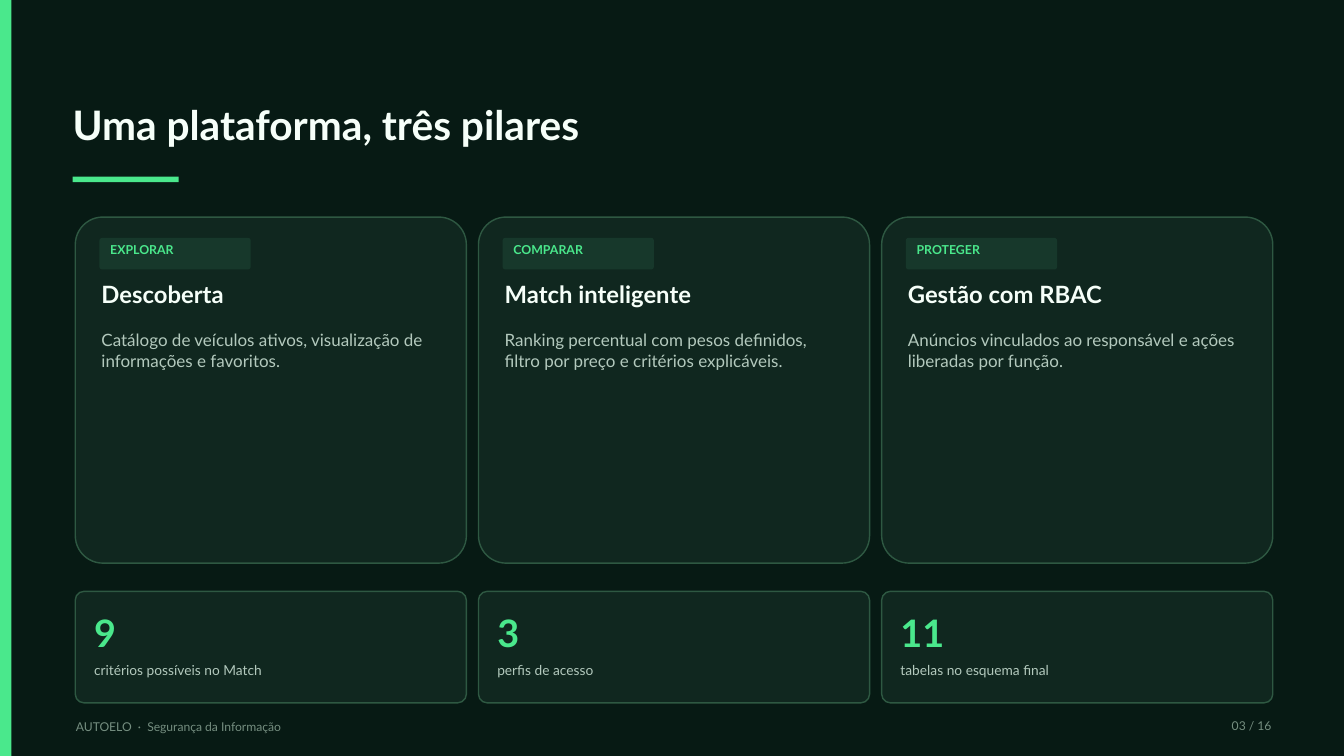
from pptx import Presentation, util as u
from pptx.dml.color import RGBColor
from pptx.enum import shapes, text

COLORS = {
    "background": "071A14",
    "accent": "4AE88C",
    "title": "F6FFF9",
    "body": "B3C9BD",
    "footer": "758E80",
    "card": "10271F",
    "border": "2E5842",
    "tag": "17382B",
}
FORMATS = {
    "title": {"size": 43.5, "spacing": 52.2, "color": "title", "bold": True},
    "footer": {"size": 13, "spacing": 15.7, "color": "footer", "bold": False},
    "tag": {"size": 13.2, "spacing": 15.8, "color": "accent", "bold": True},
    "heading": {"size": 25.5, "spacing": 30.6, "color": "title", "bold": True},
    "body": {"size": 18.2, "spacing": 21.8, "color": "body", "bold": False},
    "number": {"size": 40.5, "spacing": 48.6, "color": "accent", "bold": True},
    "caption": {"size": 14.7, "spacing": 17.6, "color": "body", "bold": False},
}
PILLARS = [
    ("EXPLORAR", "Descoberta",
     "Catálogo de veículos ativos, visualização de informações e favoritos.",
     "9", "critérios possíveis no Match"),
    ("COMPARAR", "Match inteligente",
     "Ranking percentual com pesos definidos, filtro por preço e critérios explicáveis.",
     "3", "perfis de acesso"),
    ("PROTEGER", "Gestão com RBAC",
     "Anúncios vinculados ao responsável e ações liberadas por função.",
     "11", "tabelas no esquema final"),
]


def add_panel(left, top, width, height, fill, radius=0, border=None):
    kind = shapes.MSO_SHAPE.ROUNDED_RECTANGLE if radius else shapes.MSO_SHAPE.RECTANGLE
    shape = slide.shapes.add_shape(kind, *map(u.Inches, (left, top, width, height)))
    shape.shadow.inherit = False
    if radius:
        shape.adjustments[0] = radius / min(width, height)
    shape.fill.solid()
    shape.fill.fore_color.rgb = RGBColor.from_string(COLORS[fill])
    if border:
        shape.line.color.rgb = RGBColor.from_string(COLORS[border])
        shape.line.width = u.Pt(1.5)
    else:
        shape.line.fill.background()


def add_text(content, left, top, width, height, style, align=text.PP_ALIGN.LEFT):
    box = slide.shapes.add_textbox(*map(u.Inches, (left, top, width, height)))
    frame = box.text_frame
    frame_values = {"word_wrap": True, "auto_size": text.MSO_AUTO_SIZE.SHAPE_TO_FIT_TEXT,
                    "margin_left": 0, "margin_top": 0, "margin_right": 0, "margin_bottom": 0}
    for name, value in frame_values.items():
        setattr(frame, name, value)
    values = FORMATS[style]
    paragraph = frame.paragraphs[0]
    paragraph.alignment = align
    paragraph.line_spacing = u.Pt(values["spacing"])
    run = paragraph.add_run()
    run.text = content
    font_values = {"name": "Lato", "size": u.Pt(values["size"]), "bold": values["bold"]}
    for name, value in font_values.items():
        setattr(run.font, name, value)
    run.font.color.rgb = RGBColor.from_string(COLORS[values["color"]])


presentation = Presentation()
presentation.slide_width = u.Inches(20)
presentation.slide_height = u.Inches(11.25)
slide = presentation.slides.add_slide(presentation.slide_layouts[6])
slide.background.fill.solid()
slide.background.fill.fore_color.rgb = RGBColor.from_string(COLORS["background"])

add_panel(0, 0, 0.17, 11.25, "accent")
add_text("Uma plataforma, três pilares", 1.08, 1.49, 17.86, 1.03, "title")
add_panel(1.08, 2.63, 1.58, 0.08, "accent")
add_text("AUTOELO  ·  Segurança da Informação", 1.13, 10.71, 6, 0.31, "footer")
add_text("03 / 16", 17.64, 10.69, 1.28, 0.31, "footer", text.PP_ALIGN.RIGHT)

for column, (tag, heading, body, number, caption) in enumerate(PILLARS):
    left = 1.12 + 6 * column
    add_panel(left, 3.23, 5.82, 5.15, "card", 0.41, "border")
    add_panel(left + 0.36, 3.54, 2.25, 0.47, "tag", 0.04)
    add_text(tag, left + 0.52, 3.61, 1.92, 0.33, "tag")
    add_text(heading, left + 0.39, 4.16, 5.04, 0.6, "heading")
    add_text(body, left + 0.39, 4.91, 5.04, 3.3, "body")
    add_panel(left, 8.8, 5.82, 1.66, "card", 0.13, "border")
    add_text(number, left + 0.28, 9.08, 5.25, 0.65, "number")
    add_text(caption, left + 0.28, 9.85, 5.25, 0.3, "caption")

presentation.save("out.pptx")
